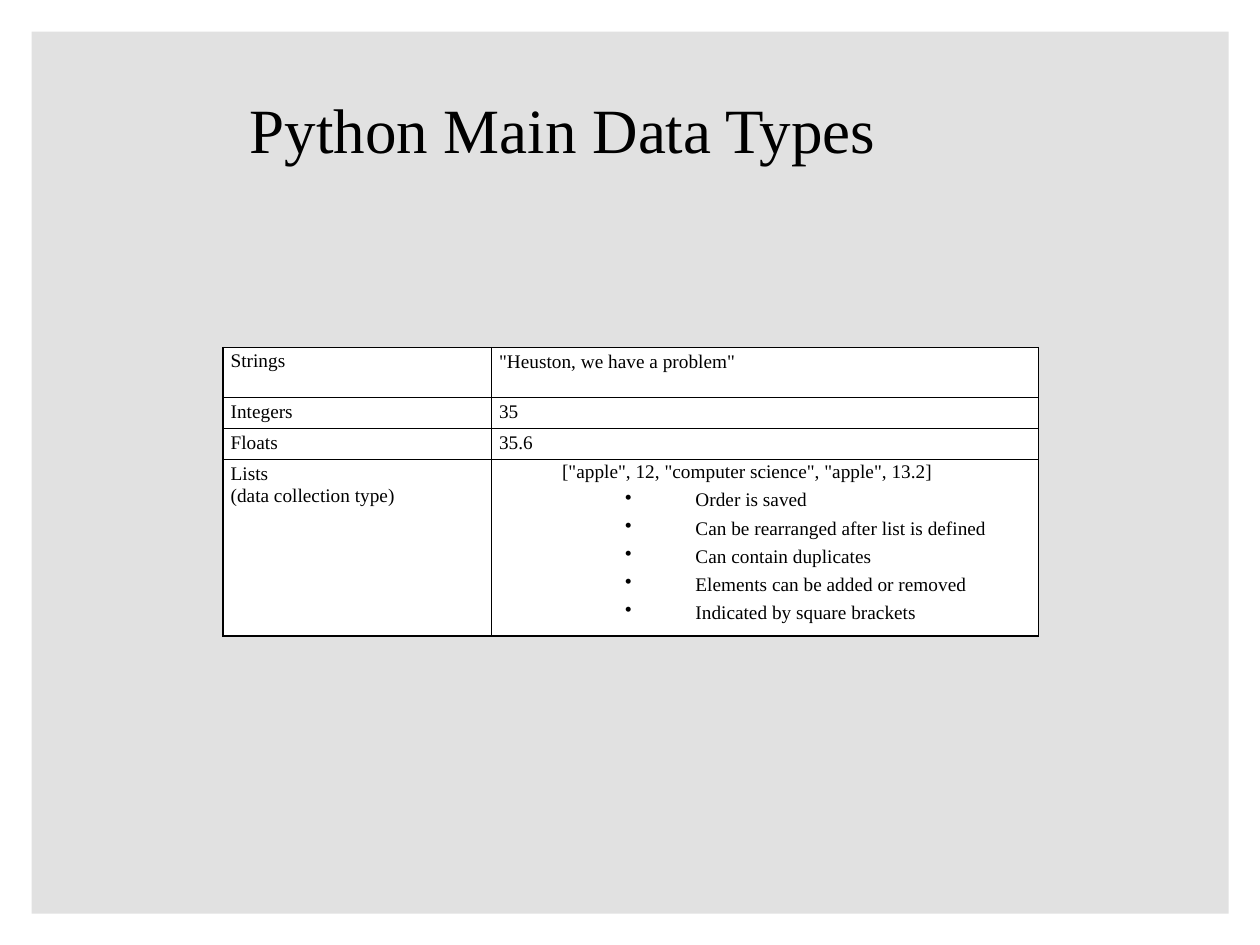
from lxml import etree
from pptx import Presentation
from pptx.dml.color import RGBColor
from pptx.enum.shapes import MSO_SHAPE
from pptx.enum.text import MSO_ANCHOR, PP_ALIGN
from pptx.oxml.ns import qn
from pptx.util import Cm, Pt

BLACK = RGBColor(0, 0, 0)
WHITE = RGBColor(255, 255, 255)
PANEL_GRAY = RGBColor(0xE1, 0xE1, 0xE1)
RECTANGLE = MSO_SHAPE.RECTANGLE
CENTER = PP_ALIGN.CENTER
MIDDLE = MSO_ANCHOR.MIDDLE

INSETS = {
    "margin_left": Cm(0.15), "margin_right": Cm(0.15),
    "margin_top": Cm(0.08), "margin_bottom": Cm(0.08),
}
PLAIN = {}
TIGHT = {"line_spacing": 0.9, "space_before": Pt(10)}
EXAMPLE = {"level": 1, "line_spacing": 0.9, "space_before": Pt(5)}
PROPERTY = {**EXAMPLE, "level": 2}
INDENTS = {1: (Cm(1.27), 0), 2: (Cm(3.96), Cm(-1.42))}

COLUMN_WIDTHS = [5.41, 11.02]
ROW_HEIGHTS = [1, 0.61, 0.61, 3.38]
LIST_PROPERTIES = [
    "Order is saved",
    "Can be rearranged after list is defined",
    "Can contain duplicates",
    "Elements can be added or removed",
    "Indicated by square brackets",
]
DATA_TYPES = [
    ([("Strings", TIGHT)], [('"Heuston, we have a problem"', PLAIN)]),
    ([("Integers", PLAIN)], [("35", PLAIN)]),
    ([("Floats", PLAIN)], [("35.6", PLAIN)]),
    (
        [("Lists", PLAIN), ("(data collection type)", PLAIN)],
        [('["apple", 12, "computer science", "apple", 13.2]', EXAMPLE)]
        + [(text, PROPERTY) for text in LIST_PROPERTIES],
    ),
]


def assign(target, values):
    for name, value in values.items():
        setattr(target, name, value)


class SlideBuilder:
    font_name = "Times New Roman"

    def __init__(self, slide):
        self.slide = slide

    def add_text(self, paragraph, text, size, layout):
        assign(paragraph, layout)
        run = paragraph.add_run()
        run.text = text
        assign(run.font, {"name": self.font_name, "size": Pt(size), "bold": False})
        run.font.color.rgb = BLACK

    def panel(self, left, top, width, height):
        panel = self.slide.shapes.add_shape(
            RECTANGLE, Cm(left), Cm(top), Cm(width), Cm(height))
        panel.shadow.inherit = False
        panel.fill.solid()
        panel.fill.fore_color.rgb = PANEL_GRAY
        panel.line.fill.background()

    def title(self, text, left, top, width, height):
        frame = self.slide.shapes.add_textbox(
            Cm(left), Cm(top), Cm(width), Cm(height)).text_frame
        assign(frame, {"word_wrap": True, "vertical_anchor": MIDDLE})
        self.add_text(frame.paragraphs[0], text, 36, {"alignment": CENTER})

    def indent(self, paragraph):
        margin, first_line = INDENTS[paragraph.level]
        properties = paragraph._p.get_or_add_pPr()
        properties.set("marL", str(margin))
        properties.set("indent", str(first_line))
        if first_line:
            etree.SubElement(properties, qn("a:buChar"), char="•")

    def border(self, cell):
        properties = cell._tc.get_or_add_tcPr()
        for side in ("a:lnL", "a:lnR", "a:lnT", "a:lnB"):
            line = etree.SubElement(properties, qn(side), w=str(Pt(1)))
            fill = etree.SubElement(line, qn("a:solidFill"))
            etree.SubElement(fill, qn("a:srgbClr"), val=str(BLACK))

    def cell(self, cell, content):
        assign(cell, INSETS)
        self.border(cell)
        cell.fill.solid()
        cell.fill.fore_color.rgb = WHITE
        frame = cell.text_frame
        for index, (text, layout) in enumerate(content):
            paragraph = frame.add_paragraph() if index else frame.paragraphs[0]
            self.add_text(paragraph, text, 11, layout)
            if paragraph.level:
                self.indent(paragraph)

    def table(self, rows, left, top):
        table = self.slide.shapes.add_table(
            len(rows), len(COLUMN_WIDTHS), Cm(left), Cm(top),
            Cm(sum(COLUMN_WIDTHS)), Cm(sum(ROW_HEIGHTS))).table
        assign(table, {"first_row": False, "horz_banding": False})
        for column, width in zip(table.columns, COLUMN_WIDTHS):
            column.width = Cm(width)
        for row, height, contents in zip(table.rows, ROW_HEIGHTS, rows):
            row.height = Cm(height)
            for cell, content in zip(row.cells, contents):
                self.cell(cell, content)


def main():
    presentation = Presentation()
    assign(presentation, {"slide_width": Cm(25.4), "slide_height": Cm(19.05)})
    blank = presentation.slide_layouts[6]
    builder = SlideBuilder(presentation.slides.add_slide(blank))
    builder.panel(0.64, 0.64, 24.13, 17.78)
    builder.title("Python Main Data Types", 1.3, 1.22, 20.09, 2.72)
    builder.table(DATA_TYPES, 4.5, 7.01)
    presentation.save("out.pptx")


if __name__ == "__main__":
    main()
